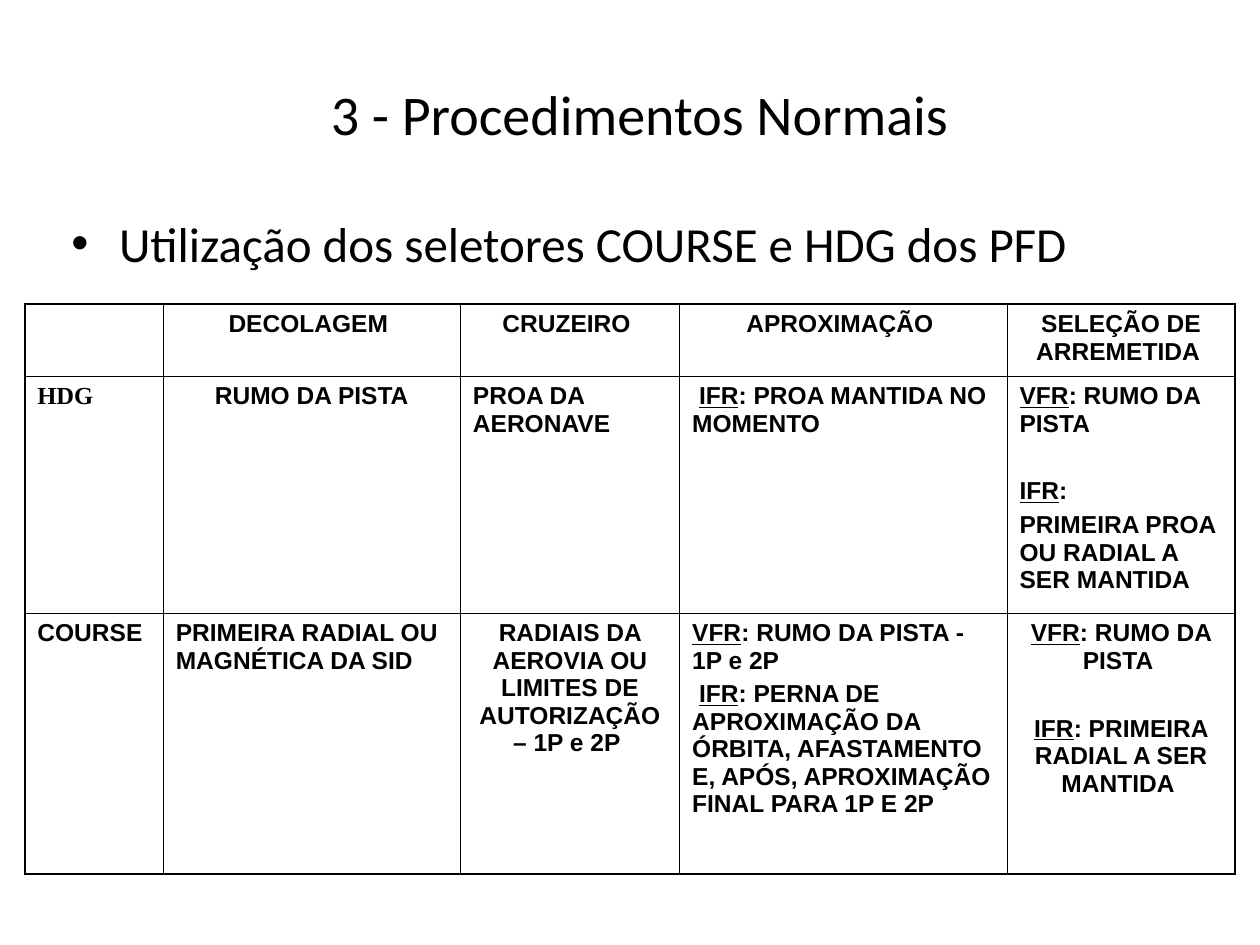
from dataclasses import dataclass

from lxml.etree import SubElement
from pptx import Presentation
from pptx.dml.color import RGBColor
from pptx.enum.text import MSO_ANCHOR, PP_ALIGN
from pptx.oxml.ns import qn
from pptx.util import Cm, Pt

BLACK = RGBColor(0x00, 0x00, 0x00)
THIN, THICK = Pt(0.45), Pt(1.08)
PARAGRAPH_GAP, SECTION_GAP = 3.5, 23
COLUMN_WIDTHS = (2.79, 5.99, 4.42, 6.6, 4.6)
ROW_HEIGHTS = (1.45, 4.78, 5.26)


@dataclass(frozen=True)
class Line:
    """One paragraph, with the flight rule to underline and the space before it."""

    text: str
    rule: str = ""
    gap: float = 0


@dataclass(frozen=True)
class Entry:
    """The content of one table cell."""

    lines: tuple[Line, ...] = ()
    align: PP_ALIGN = PP_ALIGN.LEFT
    font: str = "Arial"


def left(*lines: Line) -> Entry:
    """Return a left-aligned entry."""
    return Entry(lines)


def centred(*lines: Line) -> Entry:
    """Return a centred entry."""
    return Entry(lines, PP_ALIGN.CENTER)


HEADINGS = ("DECOLAGEM ", "CRUZEIRO ", "APROXIMAÇÃO ", "SELEÇÃO DE ARREMETIDA ")
ENTRIES = (
    (Entry(), *(centred(Line(heading)) for heading in HEADINGS)),
    (
        Entry((Line("HDG"),), font="Times New Roman"),
        centred(Line("RUMO DA PISTA")),
        left(Line("PROA DA AERONAVE")),
        left(Line(" IFR: PROA MANTIDA NO MOMENTO", "IFR")),
        left(
            Line("VFR: RUMO DA PISTA", "VFR"),
            Line("IFR:", "IFR", SECTION_GAP),
            Line("PRIMEIRA PROA OU RADIAL A SER MANTIDA", gap=PARAGRAPH_GAP),
        ),
    ),
    (
        left(Line("COURSE")),
        left(Line("PRIMEIRA RADIAL OU MAGNÉTICA DA SID")),
        centred(Line("RADIAIS DA AEROVIA OU LIMITES DE AUTORIZAÇÃO – 1P e 2P ")),
        left(
            Line("VFR: RUMO DA PISTA - 1P e 2P", "VFR"),
            Line(
                " IFR: PERNA DE APROXIMAÇÃO DA ÓRBITA, AFASTAMENTO E, "
                "APÓS, APROXIMAÇÃO FINAL PARA 1P E 2P",
                "IFR",
                PARAGRAPH_GAP,
            ),
        ),
        centred(
            Line("VFR: RUMO DA PISTA ", "VFR"),
            Line("IFR: PRIMEIRA RADIAL A SER MANTIDA ", "IFR", SECTION_GAP),
        ),
    ),
)


def write_text(paragraph, text: str, *, size: float, font: str = "Calibri",
               align: PP_ALIGN = PP_ALIGN.LEFT, bold: bool = False,
               underlined: str = "", gap: float = 0) -> None:
    """Fill a paragraph with formatted text, underlining one term in it."""
    paragraph.alignment = align
    paragraph.space_before = Pt(gap)
    parts = text.partition(underlined) if underlined else (text,)
    for part in filter(None, parts):
        run = paragraph.add_run()
        run.text = part
        run.font.size, run.font.name, run.font.bold = Pt(size), font, bold
        run.font.color.rgb = BLACK
        if part == underlined:
            run.font.underline = True


def add_text_frame(slide, x: float, y: float, width: float, height: float):
    """Add a wrapping text box, measured in centimetres, and return its frame."""
    frame = slide.shapes.add_textbox(Cm(x), Cm(y), Cm(width), Cm(height)).text_frame
    frame.word_wrap = True
    return frame


def add_bullet(paragraph, indent: int) -> None:
    """Give a paragraph a black bullet with a hanging indent."""
    properties = paragraph._p.get_or_add_pPr()
    properties.set("marL", str(indent))
    properties.set("indent", str(-indent))
    colour = SubElement(properties, qn("a:buClr"))
    SubElement(colour, qn("a:srgbClr"), val=str(BLACK))
    SubElement(properties, qn("a:buFont"), typeface="Arial")
    SubElement(properties, qn("a:buChar"), char="•")


def set_borders(cell, outer_sides: dict[str, bool]) -> None:
    """Draw the four cell borders, thicker on the outside of the table."""
    properties = cell._tc.get_or_add_tcPr()
    for side, is_outer in outer_sides.items():
        border = SubElement(properties, qn(f"a:ln{side}"),
                            w=str(THICK if is_outer else THIN))
        fill = SubElement(border, qn("a:solidFill"))
        SubElement(fill, qn("a:srgbClr"), val=str(BLACK))


def fill_cell(cell, entry: Entry) -> None:
    """Write an entry into a table cell without a background."""
    cell.fill.background()
    frame = cell.text_frame
    for index, line in enumerate(entry.lines):
        paragraph = frame.add_paragraph() if index else frame.paragraphs[0]
        write_text(paragraph, line.text, size=14, font=entry.font, bold=True,
                   align=entry.align, underlined=line.rule, gap=line.gap)


def add_selector_table(slide) -> None:
    """Add the table of selector settings by flight phase."""
    last_row, last_column = len(ROW_HEIGHTS) - 1, len(COLUMN_WIDTHS) - 1
    table = slide.shapes.add_table(
        len(ROW_HEIGHTS), len(COLUMN_WIDTHS), Cm(0.5), Cm(6.13),
        Cm(sum(COLUMN_WIDTHS)), Cm(sum(ROW_HEIGHTS))).table
    table.first_row = table.horz_banding = False
    for column, width in zip(table.columns, COLUMN_WIDTHS):
        column.width = Cm(width)
    for row, height in zip(table.rows, ROW_HEIGHTS):
        row.height = Cm(height)
    for row, entries in enumerate(ENTRIES):
        for column, entry in enumerate(entries):
            cell = table.cell(row, column)
            set_borders(cell, {"L": column == 0, "R": column == last_column,
                               "T": row == 0, "B": row == last_row})
            fill_cell(cell, entry)


def main() -> None:
    """Build and save the slide."""
    presentation = Presentation()
    presentation.slide_width, presentation.slide_height = Cm(25.4), Cm(19.05)
    slide = presentation.slides.add_slide(presentation.slide_layouts[6])

    title = add_text_frame(slide, 2.1, 0, 21.6, 4.57)
    title.vertical_anchor = MSO_ANCHOR.MIDDLE
    write_text(title.paragraphs[0], "3 - Procedimentos Normais",
               size=32, align=PP_ALIGN.CENTER)

    topic = add_text_frame(slide, 1.19, 4.17, 24.2, 3.78).paragraphs[0]
    add_bullet(topic, Cm(0.96))
    write_text(topic, "Utilização dos seletores COURSE e HDG dos PFD",
               size=28, align=PP_ALIGN.JUSTIFY)

    add_selector_table(slide)
    presentation.save("out.pptx")


if __name__ == "__main__":
    main()
